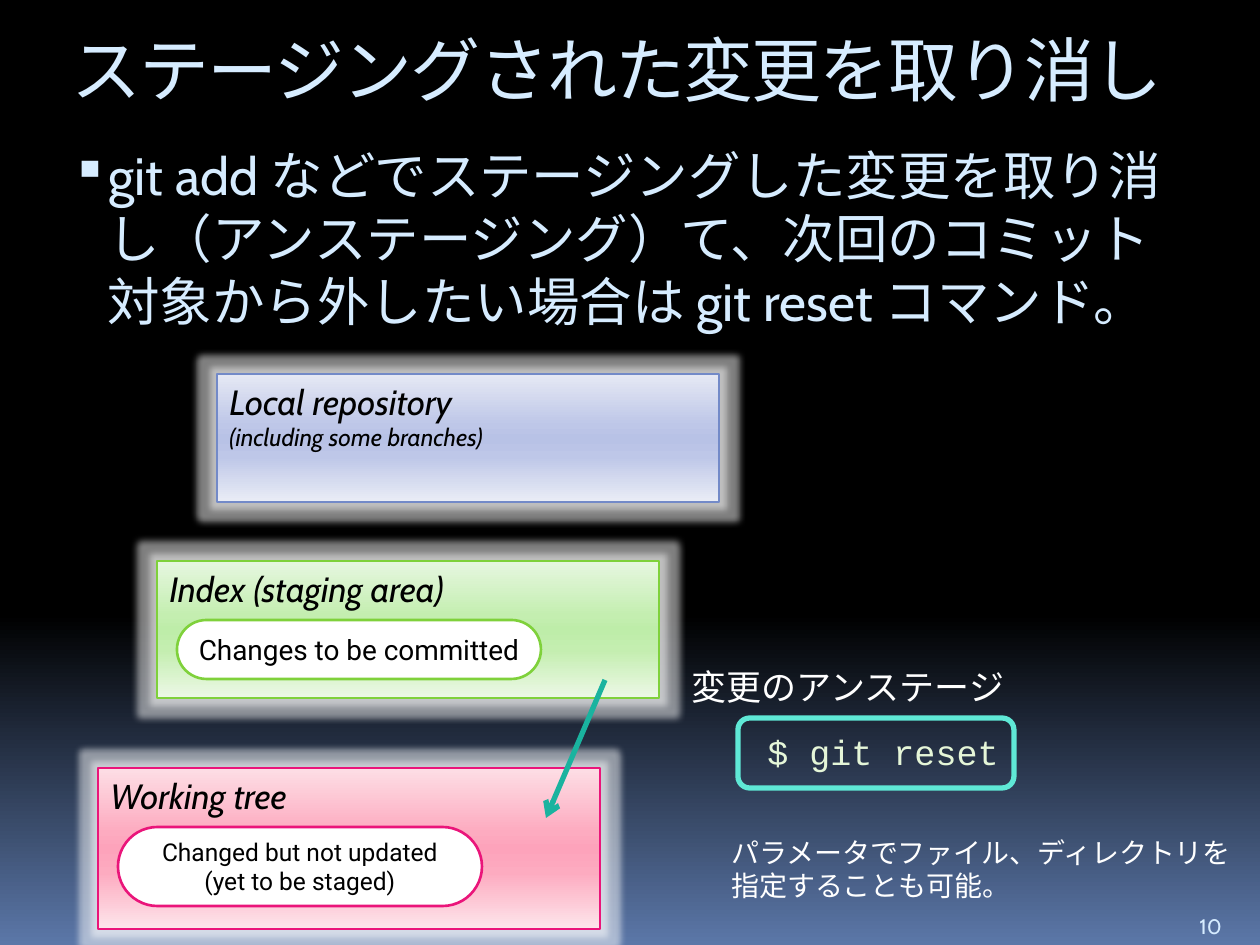
import lxml.etree
import pptx
import pptx.dml.color
import pptx.enum.shapes
import pptx.enum.text
import pptx.oxml.ns
import pptx.util

qn = pptx.oxml.ns.qn
ANCHOR = pptx.enum.text.MSO_ANCHOR
ALIGN = pptx.enum.text.PP_ALIGN
SHAPE = pptx.enum.shapes.MSO_SHAPE

EMU_PER_PIXEL = 914400 / 126

THEME = {
    "background": [(0, "000000"), (65, "000000"), (100, "5B77A8")],
    "gradient_positions": (0, 40, 50, 65, 100),
    "repository": ("738AC8", ("E5E8F4", "BEC7E8", "B8C2E6", "BEC7E8", "EAEDF6")),
    "index": ("7FD13B", ("E6F7E0", "C4EEB0", "BEEDA9", "C4EEB0", "ECF8E6")),
    "tree": ("EA157A", ("FDDEE5", "FDABC0", "FDA3BB", "FDABC0", "FDE5EB")),
    "white": "FFFFFF",
    "arrow": "1AB39F",
    "command_frame": "5FE8D6",
    "title": {"name": "DejaVu Sans Mono", "size": 40, "color": "D6ECFF"},
    "body": {"name": "Cabin", "size": 30, "color": "D6ECFF"},
    "number": {"name": "Cabin", "size": 12, "color": "D6ECFF"},
    "stage": {"name": "Cabin", "size": 20, "color": "000000", "italic": True},
    "stage_note": {"name": "Cabin", "size": 14, "color": "000000", "italic": True},
    "pill": {"name": "Roboto", "size": 16, "color": "000000"},
    "small_pill": {"name": "Roboto", "size": 14, "color": "000000"},
    "caption": {"name": "Courier New", "size": 20, "color": "FFFFFF"},
    "command": {"name": "Courier New", "size": 20, "color": "E5F6D8"},
    "hint": {"name": "Courier New", "size": 16, "color": "FFFFFF"},
}


def px(length):
    return pptx.util.Emu(round(length * EMU_PER_PIXEL))


def rgb(value):
    return pptx.dml.color.RGBColor.from_string(value)


def add_element(parent, tag, **attributes):
    element = lxml.etree.SubElement(parent, qn(tag))
    for name, value in attributes.items():
        element.set(name, str(value))
    return element


def set_gradient(fill, owner, stops):
    fill.gradient()
    fill.gradient_angle = 270
    stop_list = next(owner.iter(qn("a:gsLst")))
    for stop in list(stop_list):
        stop_list.remove(stop)
    for position, color in stops:
        stop = add_element(stop_list, "a:gs", pos=position * 1000)
        add_element(stop, "a:srgbClr", val=color)


def write_text(shape, lines, anchor=ANCHOR.TOP, alignment=ALIGN.LEFT):
    frame = shape.text_frame
    frame.word_wrap = True
    frame.vertical_anchor = anchor
    for number, (text, style) in enumerate(lines):
        paragraph = frame.add_paragraph() if number else frame.paragraphs[0]
        paragraph.text = text
        paragraph.alignment = alignment
        for run in paragraph.runs:
            for name, value in THEME[style].items():
                if name == "color":
                    run.font.color.rgb = rgb(value)
                else:
                    setattr(run.font, name, pptx.util.Pt(value) if name == "size" else value)
    return frame


def add_text(slide, box, lines, **layout):
    return write_text(slide.shapes.add_textbox(*map(px, box)), lines, **layout)


def add_outlined(slide, kind, box, color, width):
    shape = slide.shapes.add_shape(kind, *map(px, box))
    shape.shadow.inherit = False
    shape.fill.background()
    shape.line.color.rgb = rgb(color)
    shape.line.width = pptx.util.Pt(width)
    return shape


def add_title(slide, box):
    frame = add_text(slide, box, [("ステージングされた変更を取り消し", "title")], anchor=ANCHOR.MIDDLE)
    frame.paragraphs[0].runs[0]._r.get_or_add_rPr().set("spc", "-100")


def add_body(slide, box):
    text = (
        "git add などでステージングした変更を取り消し（アンステージング）て、"
        "次回のコミット対象から外したい場合は git reset コマンド。"
    )
    paragraph = add_text(slide, box, [(text, "body")]).paragraphs[0]
    properties = paragraph._p.get_or_add_pPr()
    properties.set("marL", str(px(36)))
    properties.set("indent", str(px(-36)))
    bullet_color = add_element(properties, "a:buClr")
    add_element(bullet_color, "a:srgbClr", val=THEME["body"]["color"])
    add_element(properties, "a:buSzPct", val=95000)
    add_element(properties, "a:buChar", char="▪")


def add_stage(slide, box, palette, lines, pill=None):
    accent, colors = THEME[palette]
    stage = add_outlined(slide, SHAPE.RECTANGLE, box, accent, 0.94)
    set_gradient(stage.fill, stage._element, zip(THEME["gradient_positions"], colors))
    glow = add_element(stage._element.spPr.find(qn("a:effectLst")), "a:glow", rad=px(13))
    add_element(add_element(glow, "a:srgbClr", val=THEME["white"]), "a:alpha", val=50000)
    write_text(stage, lines)
    if pill:
        text, style, height = pill
        left, top = box[:2]
        shape = add_outlined(
            slide, SHAPE.ROUNDED_RECTANGLE, (left + 20, top + 59, 364, height), accent, 1.5
        )
        shape.adjustments[0] = 0.5
        shape.fill.solid()
        shape.fill.fore_color.rgb = rgb(THEME["white"])
        write_text(shape, [(text, style)], anchor=ANCHOR.MIDDLE, alignment=ALIGN.CENTER)


def add_unstage_arrow(slide, box):
    left, top, width, height = box
    connector = slide.shapes.add_connector(
        pptx.enum.shapes.MSO_CONNECTOR.STRAIGHT,
        *map(px, (left + width, top, left, top + height)),
    )
    connector.line.color.rgb = rgb(THEME["arrow"])
    connector.line.width = pptx.util.Pt(3)
    add_element(connector.line._get_or_add_ln(), "a:tailEnd", type="arrow")
    add_element(connector._element.spPr, "a:effectLst")


def add_command(slide, box):
    left, top, width, height = box
    add_outlined(
        slide, SHAPE.ROUNDED_RECTANGLE, (left + 59, top + 59, 276, 70),
        THEME["command_frame"], 3,
    )
    frame = add_text(
        slide, (left, top, width, 118),
        [("変更のアンステージ", "caption"), ("$ git reset", "command")],
    )
    command = frame.paragraphs[1]
    command.space_before = pptx.util.Pt(13)
    command._p.get_or_add_pPr().set("marL", str(px(76)))
    hint = "パラメータでファイル、ディレクトリを\v指定することも可能。"
    add_text(slide, (left + 40, top + 170, width - 44, height - 170), [(hint, "hint")])


def build_slide(presentation):
    slide = presentation.slides.add_slide(presentation.slide_layouts[6])
    set_gradient(slide.background.fill, slide._element, THEME["background"])
    add_title(slide, (59, 20, 1138, 98))
    add_body(slide, (59, 137, 1138, 266))
    add_text(slide, (1187, 895, 63, 50), [("10", "number")], anchor=ANCHOR.BOTTOM)
    add_stage(
        slide, (98, 768, 502, 161), "tree", [("Working tree", "stage")],
        ("Changed but not updated\v(yet to be staged)", "small_pill", 79),
    )
    add_stage(
        slide, (157, 561, 502, 137), "index", [("Index (staging area)", "stage")],
        ("Changes to be committed", "pill", 59),
    )
    add_stage(
        slide, (217, 374, 502, 128), "repository",
        [("Local repository", "stage"), ("(including some branches)", "stage_note")],
    )
    add_unstage_arrow(slide, (546, 680, 59, 138))
    add_command(slide, (679, 659, 581, 250))


def main():
    presentation = pptx.Presentation()
    presentation.slide_width = px(1260)
    presentation.slide_height = px(945)
    build_slide(presentation)
    presentation.save("out.pptx")


if __name__ == "__main__":
    main()
